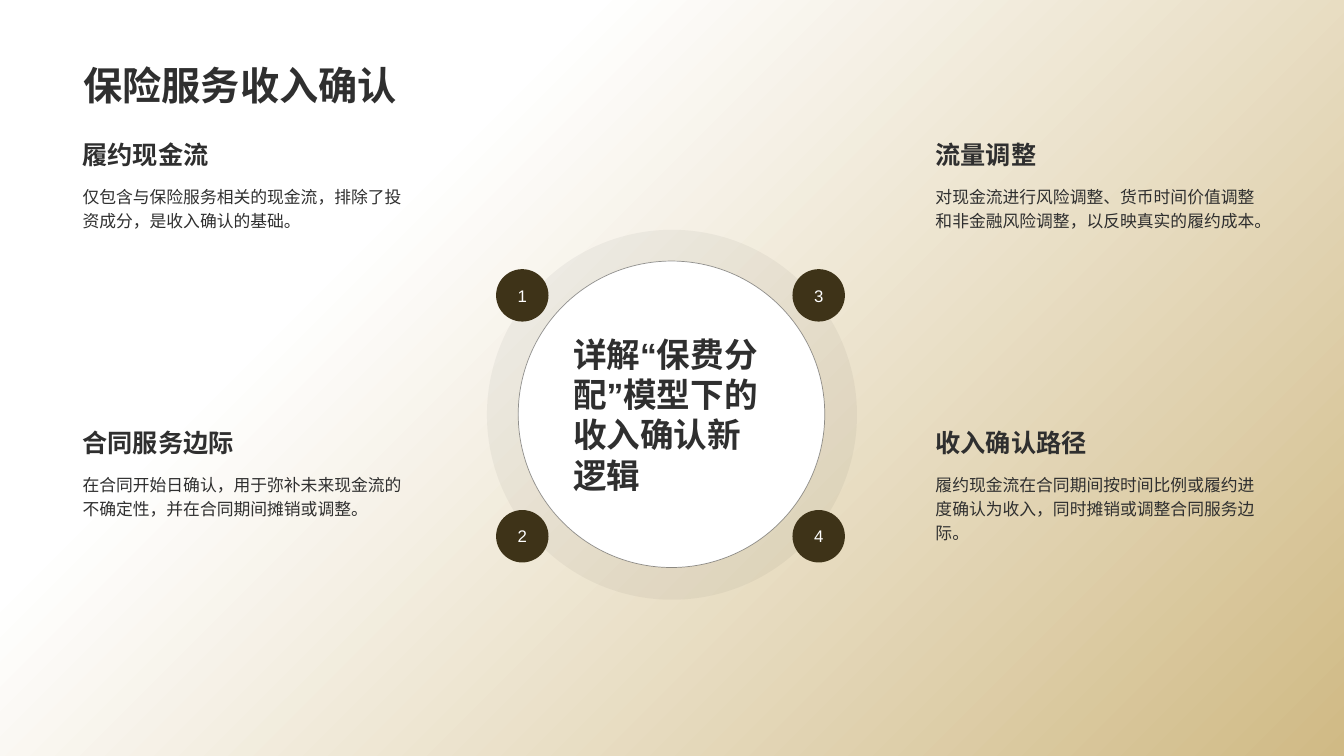
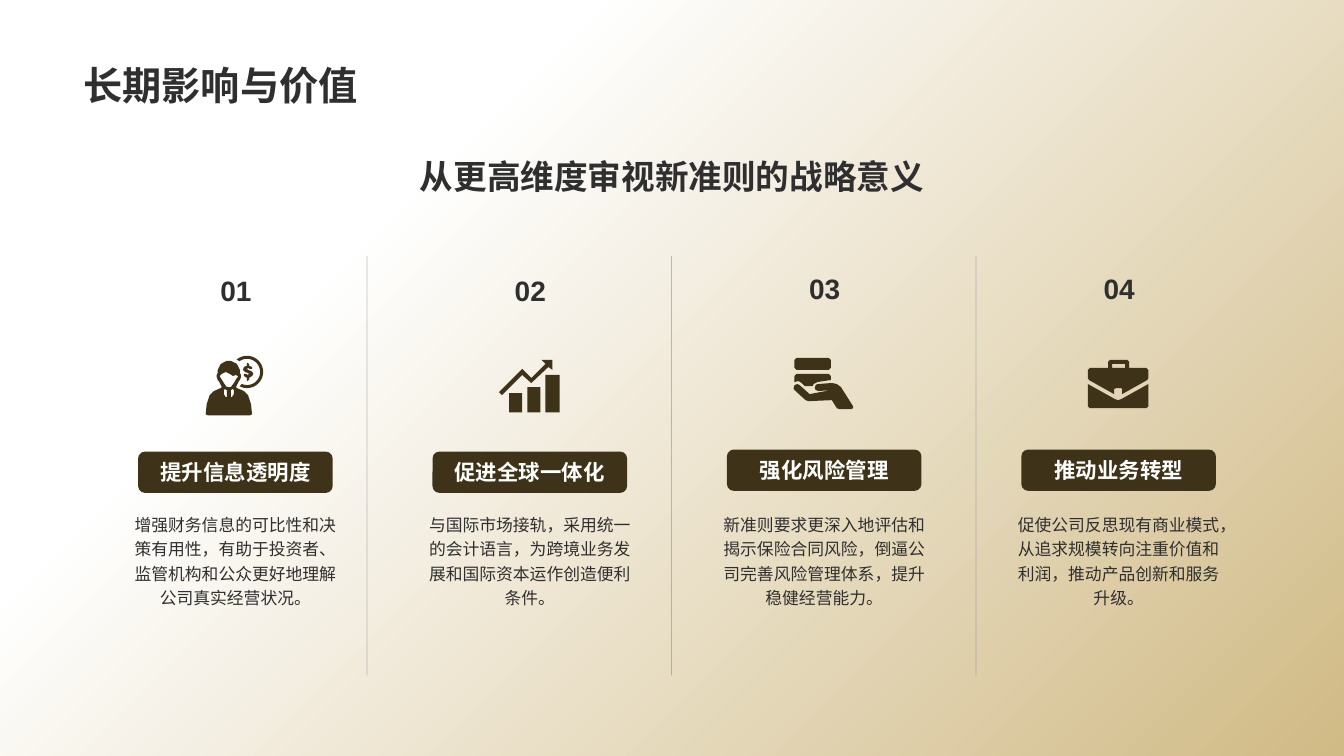
from dataclasses import dataclass
from math import cos, radians, sin

from pptx import Presentation
from pptx.dml.color import RGBColor
from pptx.enum.shapes import MSO_CONNECTOR, MSO_SHAPE
from pptx.enum.text import MSO_ANCHOR, PP_ALIGN
from pptx.oxml.ns import qn
from pptx.util import Pt
from lxml.etree import SubElement

PX = 9144  # EMU per px, 100 px to the inch


@dataclass(frozen=True)
class Theme:
    font: str = "Arial"
    ink: str = "2F2F2F"
    dark: str = "3E3318"
    gold: str = "D0BA85"
    white: str = "FFFFFF"
    divider: str = "778495"
    title: float = 28
    subtitle: float = 24
    number: float = 20
    heading: float = 18
    label: float = 15.3
    body: float = 12
    hairline: float = 0.5


def set_color(color, value, opacity=100):
    color.rgb = RGBColor.from_string(value)
    if opacity < 100:
        element = color._xFill.find(qn("a:srgbClr"))
        SubElement(element, qn("a:alpha"), val=str(opacity * 1000))


def rectangle(left, top, right, bottom):
    return [(left, top), (right, top), (right, bottom), (left, bottom)]


def arc(x, y, radius, start, end, steps=36):
    """Points along an arc; degrees run clockwise from three o'clock."""
    angles = [radians(start + (end - start) * i / steps) for i in range(steps + 1)]
    return [(x + radius * cos(a), y + radius * sin(a)) for a in angles]


class Painter:
    """Holds the deck, its style and the slide being drawn."""

    def __init__(self, theme):
        self.theme = theme
        self.deck = Presentation()
        self.deck.slide_width = 1333 * PX
        self.deck.slide_height = 750 * PX
        self.page = None

    def new_page(self, title):
        self.page = self.deck.slides.add_slide(self.deck.slide_layouts[6])
        fill = self.page.background.fill
        fill.gradient()
        fill.gradient_angle = 135
        stops = ((0, self.theme.gold), (0.72, self.theme.white))
        for stop, (position, color) in zip(fill.gradient_stops, stops):
            stop.position = position
            set_color(stop.color, color)
        self.text(73, 14, 1188, 98, title, self.theme.title, bold=True,
                  anchor=MSO_ANCHOR.BOTTOM)

    def fill_text(self, shape, text, size, color=None, bold=False, align=PP_ALIGN.LEFT,
                  anchor=MSO_ANCHOR.MIDDLE, spacing=None, wrap=True):
        frame = shape.text_frame
        frame.text = text
        frame.word_wrap = wrap
        frame.vertical_anchor = anchor
        para = frame.paragraphs[0]
        para.alignment = align
        para.line_spacing = spacing
        for span in para.runs:
            span.font.name = self.theme.font
            span.font.size = Pt(size)
            span.font.bold = bold
            set_color(span.font.color, color or self.theme.ink)
            SubElement(span.font._element, qn("a:ea"), typeface=self.theme.font)

    def text(self, left, top, width, height, text, size, **style):
        box = self.page.shapes.add_textbox(left * PX, top * PX, width * PX, height * PX)
        self.fill_text(box, text, size, **style)

    def body(self, left, top, width, height, text, align=PP_ALIGN.LEFT):
        self.text(left, top, width, height, text, self.theme.body, align=align,
                  anchor=MSO_ANCHOR.TOP, spacing=1.2)

    def paint(self, shape, color, opacity=100):
        shape.shadow.inherit = False
        shape.fill.solid()
        set_color(shape.fill.fore_color, color, opacity)
        shape.line.fill.background()

    def shape(self, kind, left, top, width, height, color, opacity=100):
        shape = self.page.shapes.add_shape(
            kind, left * PX, top * PX, width * PX, height * PX)
        self.paint(shape, color, opacity)
        return shape

    def disc(self, x, y, diameter, color, opacity=100):
        """Draw a circle centred on x, y."""
        return self.shape(MSO_SHAPE.OVAL, x - diameter // 2, y - diameter // 2,
                          diameter, diameter, color, opacity)

    def hairline(self, line, color):
        line.width = Pt(self.theme.hairline)
        line.fill.solid()
        set_color(line.color, color, 50)

    def badge(self, x, y, text):
        disc = self.disc(x, y, 52, self.theme.dark)
        self.fill_text(disc, text, self.theme.body, color=self.theme.white,
                       align=PP_ALIGN.CENTER, wrap=False)

    def pill(self, left, top, width, height, text):
        pill = self.shape(MSO_SHAPE.ROUNDED_RECTANGLE, left, top, width, height,
                          self.theme.dark)
        self.fill_text(pill, text, self.theme.label, color=self.theme.white, bold=True,
                       align=PP_ALIGN.CENTER)

    def divider(self, x, top, bottom):
        connector = self.page.shapes.add_connector(
            MSO_CONNECTOR.STRAIGHT, x * PX, top * PX, x * PX, bottom * PX)
        self.hairline(connector.line, self.theme.divider)
        SubElement(connector._element.spPr, qn("a:effectLst"))

    def icon(self, left, top, contours):
        """Draw closed contours as one shape; inner contours become holes."""
        builder = None
        for contour in contours:
            points = [((left + x) * PX, (top + y) * PX) for x, y in contour]
            if builder is None:
                builder = self.page.shapes.build_freeform(*points[0])
            else:
                builder.move_to(*points[0])
            builder.add_line_segments(points[1:], close=True)
        self.paint(builder.convert_to_shape(), self.theme.dark)


ADVISER = [
    [(22, 5), (26, 5), (32, 8), (35, 14), (35, 17), (36, 19), (36, 21), (35, 24),
     (34, 25), (32, 29), (31, 31), (32, 32), (39, 35), (43, 39), (46, 48), (47, 58),
     (45, 59), (3, 59), (1, 58), (2, 48), (5, 39), (9, 35), (16, 32), (17, 31),
     (16, 29), (14, 25), (13, 24), (12, 21), (12, 19), (13, 17), (13, 14), (16, 8)],
    [(21, 16), (17, 18), (16, 19), (15, 20), (15, 21), (16, 22), (19, 27), (22, 31),
     (26, 31), (29, 27), (32, 22), (33, 21), (33, 20), (31, 19), (28, 20), (25, 18)],
    [(28, 33), (26, 34), (26, 41), (27, 41), (29, 38), (29, 34)],
    [(20, 33), (19, 34), (19, 38), (21, 41), (22, 41), (22, 34)],
    arc(42, 16, 16, 117, -130) + arc(42, 16, 13, -125, 114),
    [(42, 7), (44, 8), (44, 10), (47, 11), (47, 13), (45, 13), (43, 12), (42, 13),
     (43, 14), (46, 15), (48, 17), (48, 19), (47, 20), (44, 22), (44, 24), (42, 25),
     (42, 22), (39, 20), (39, 18), (41, 18), (43, 19), (44, 18), (43, 17), (40, 16),
     (38, 14), (39, 11), (42, 10)],
]
GROWTH = [
    [(32, 27), (23, 19), (3, 39), (0, 36), (23, 13), (32, 22), (46, 8), (42, 4),
     (53, 4), (53, 14), (49, 11)],
    rectangle(10, 37, 23, 56),
    rectangle(28, 31, 41, 56),
    rectangle(46, 19, 60, 56),
]
HAND = [
    [(38, 27), (43, 28), (47, 31), (59, 50), (59, 52), (57, 53), (46, 53), (43, 52),
     (38, 44), (15, 45), (12, 44), (1, 34), (0, 32), (1, 29), (4, 28), (6, 29),
     (16, 38), (37, 34), (25, 35), (22, 34), (21, 32), (22, 29), (24, 28)],
    [(3, 18), (35, 18), (37, 20), (37, 24), (24, 26), (20, 28), (19, 30), (11, 30),
     (8, 27), (5, 25), (1, 26), (1, 20)],
    [(3, 2), (35, 2), (37, 4), (37, 12), (35, 14), (3, 14), (1, 12), (1, 4)],
]
BRIEFCASE = [
    [(0, 28), (27, 43), (30, 44), (33, 43), (60, 28), (60, 50), (58, 52), (2, 52),
     (0, 50)],
    [(22, 4), (39, 4), (41, 6), (41, 12), (58, 12), (60, 14), (60, 22), (59, 24),
     (34, 38), (34, 33), (33, 32), (28, 32), (26, 33), (26, 38), (1, 24), (0, 22),
     (0, 14), (2, 12), (20, 12), (20, 6)],
    rectangle(24, 8, 37, 12),
]

TOPICS = [
    ("履约现金流", "仅包含与保险服务相关的现金流，排除了投资成分，是收入确认的基础。"),
    ("合同服务边际", "在合同开始日确认，用于弥补未来现金流的不确定性，并在合同期间摊销或调整。"),
    ("流量调整", "对现金流进行风险调整、货币时间价值调整和非金融风险调整，以反映真实的履约成本。"),
    ("收入确认路径", "履约现金流在合同期间按时间比例或履约进度确认为收入，同时摊销或调整合同服务边际。"),
]
# label, body, icon, lift of the number and label
VALUES = [
    ("提升信息透明度",
     "增强财务信息的可比性和决策有用性，有助于投资者、监管机构和公众更好地理解公司真实经营状况。",
     ADVISER, 0),
    ("促进全球一体化",
     "与国际市场接轨，采用统一的会计语言，为跨境业务发展和国际资本运作创造便利条件。",
     GROWTH, 0),
    ("强化风险管理",
     "新准则要求更深入地评估和揭示保险合同风险，倒逼公司完善风险管理体系，提升稳健经营能力。",
     HAND, 2),
    ("推动业务转型",
     "促使公司反思现有商业模式，从追求规模转向注重价值和利润，推动产品创新和服务升级。",
     BRIEFCASE, 2),
]


def draw_revenue(painter):
    theme = painter.theme
    painter.new_page("保险服务收入确认")
    x, y = 666, 411
    painter.disc(x, y, 367, theme.ink, 5)
    core = painter.disc(x, y, 304, theme.white)
    painter.hairline(core.line, theme.ink)
    painter.fill_text(core, "详解“保费分配”模型下的收入确认新逻辑", theme.subtitle,
                      bold=True)
    sides = ((72, 348, -148), (918, 342, 146))
    for i, (heading, body) in enumerate(TOPICS):
        column, row = divmod(i, 2)
        left, width, offset = sides[column]
        top = 124 + 286 * row
        painter.text(left, top, width, 52, heading, theme.heading, bold=True, spacing=1.2)
        painter.body(left, top + 52, width, 209, body)
        painter.badge(x + offset, 293 + 239 * row, str(i + 1))


def draw_value(painter):
    theme = painter.theme
    center = PP_ALIGN.CENTER
    painter.new_page("长期影响与价值")
    painter.text(73, 130, 1187, 89, "从更高维度审视新准则的战略意义", theme.subtitle,
                 bold=True, align=center)
    for i in range(len(VALUES) - 1):
        painter.divider(364 + 302 * i, 254, 670)
    for i, (label, body, icon, lift) in enumerate(VALUES):
        x = 234 + 292 * i
        painter.text(x - 107, 256 - lift, 214, 64, f"{i + 1:02}", theme.number,
                     bold=True, align=center)
        painter.icon(x - 31, 353, icon)
        painter.pill(x - 97, 448 - lift, 193, 41, label)
        painter.body(x - 118, 502, 235, 143, body, align=center)


def main():
    painter = Painter(Theme())
    draw_revenue(painter)
    draw_value(painter)
    painter.deck.save("out.pptx")


if __name__ == "__main__":
    main()
